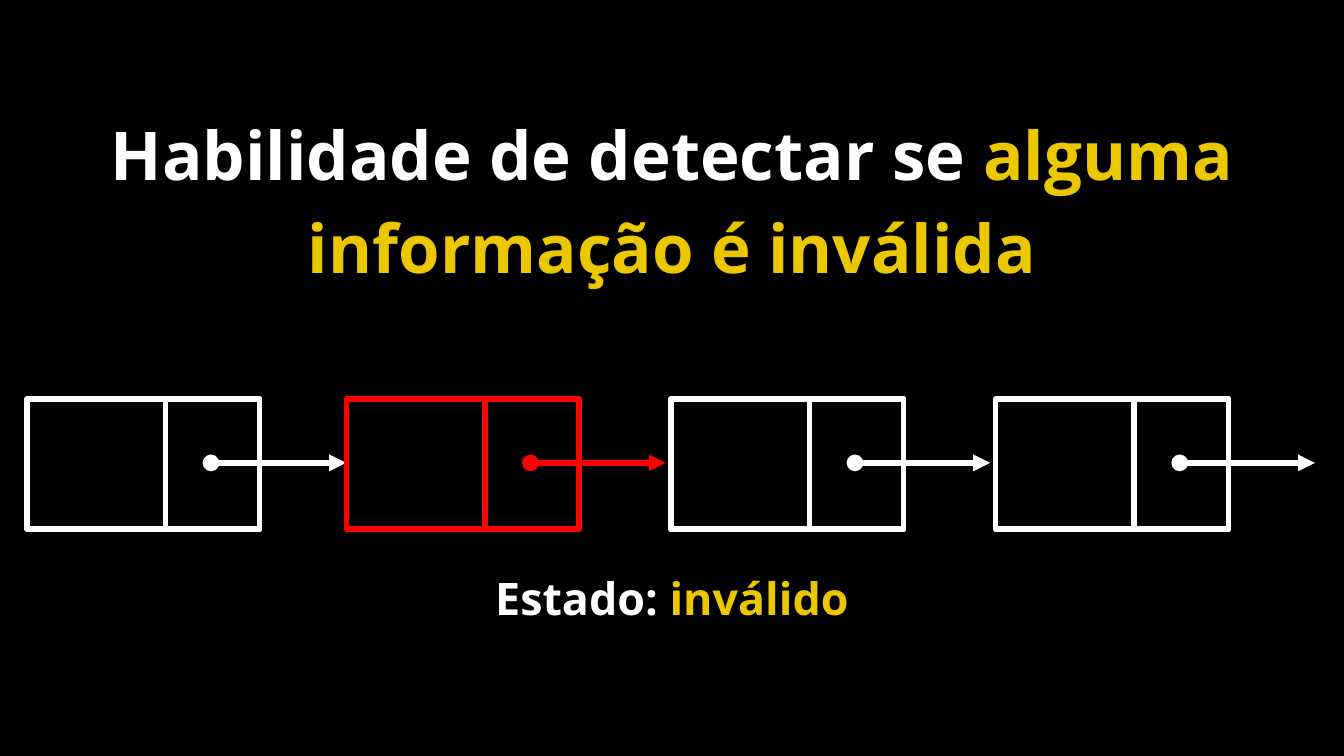
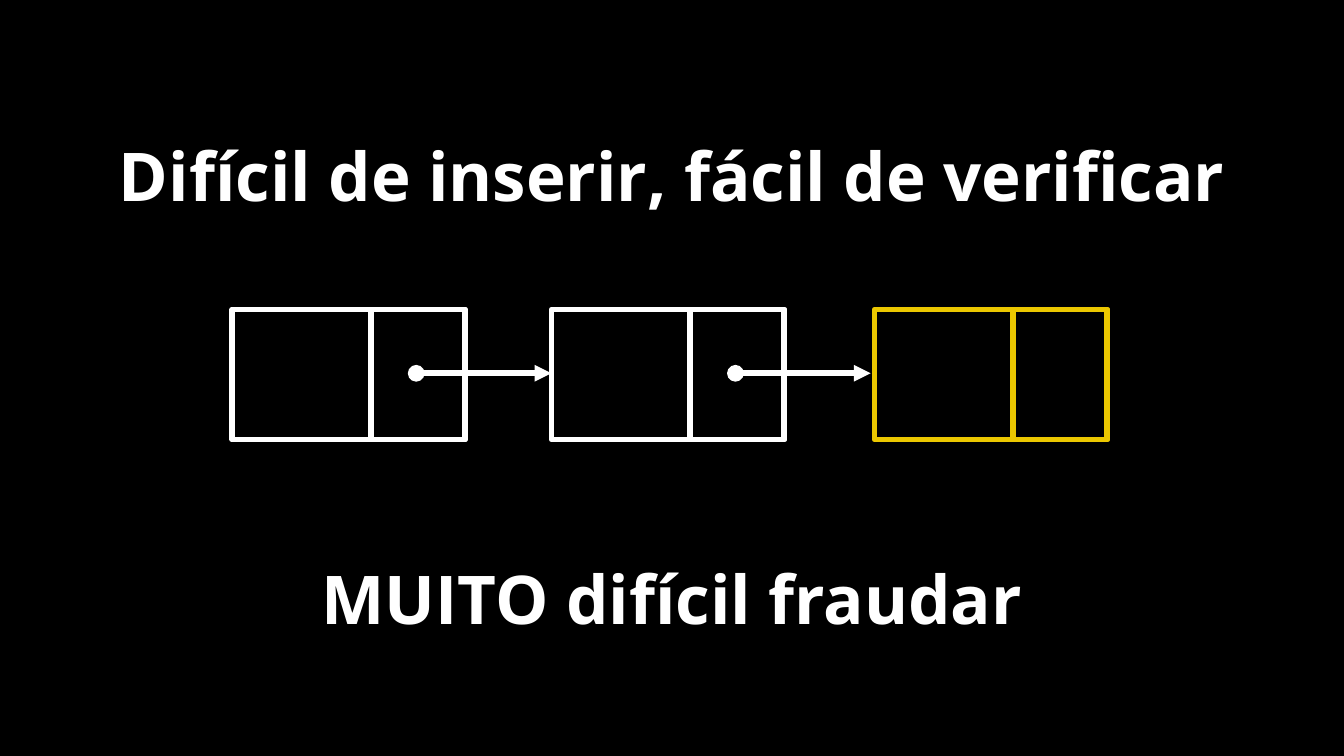
"""Build two slides about detecting invalid data in a linked chain of blocks."""
from dataclasses import dataclass

from lxml import etree
from pptx import Presentation
from pptx.dml.color import RGBColor
from pptx.enum.shapes import MSO_CONNECTOR, MSO_SHAPE
from pptx.enum.text import MSO_ANCHOR, MSO_AUTO_SIZE, PP_ALIGN
from pptx.oxml.ns import qn
from pptx.util import Pt

RECT, STRAIGHT = MSO_SHAPE.RECTANGLE, MSO_CONNECTOR.STRAIGHT
TOP, MIDDLE = MSO_ANCHOR.TOP, MSO_ANCHOR.MIDDLE
CENTER, NO_FIT = PP_ALIGN.CENTER, MSO_AUTO_SIZE.NONE

BLACK, WHITE, RED, YELLOW = "000000", "FFFFFF", "FF0000", "EBC700"
FONT = "Open Sans"
LINE_W = 3
TEXT_X, TEXT_W, INSET = 24.48, 671, 7.2
BLOCK_W, BLOCK_H, POINTER_W = 124.7, 69.8, 50.4
ARROW_X, ARROW_Y, ARROW_W = 98.6, 34.2, 72.4


@dataclass(frozen=True)
class Block:
    """One chain node, with or without an arrow to the next."""
    x: float
    color: str = WHITE
    linked: bool = True


@dataclass(frozen=True)
class Caption:
    """Place and type style of a centred text."""
    y: float
    h: float
    size: float = 36
    anchor: MSO_ANCHOR = MIDDLE
    line_spacing: float = 1.15
    space_after: float = 16


def rgb(color: str) -> RGBColor:
    """Turn a hex string into a colour."""
    return RGBColor.from_string(color)


def style_line(sp, color: str, **ends: str) -> None:
    """Set the outline colour, width, round joins and any line ends."""
    sp.line.color.rgb = rgb(color)
    sp.line.width = Pt(LINE_W)
    ln = sp.line._get_or_add_ln()
    etree.SubElement(ln, qn("a:round"))
    for tag, kind in ends.items():
        etree.SubElement(ln, qn(f"a:{tag}"), type=kind)


def add_cell(slide, x: float, y: float, w: float, color: str) -> None:
    """Draw one unfilled cell of a block."""
    sp = slide.shapes.add_shape(RECT, Pt(x), Pt(y), Pt(w), Pt(BLOCK_H))
    sp.shadow.inherit = False
    sp.fill.background()
    style_line(sp, color)


def add_arrow(slide, x: float, y: float, color: str) -> None:
    """Draw a horizontal pointer with a round start."""
    cxn = slide.shapes.add_connector(STRAIGHT, Pt(x), Pt(y), Pt(x + ARROW_W), Pt(y))
    style_line(cxn, color, headEnd="oval", tailEnd="triangle")
    etree.SubElement(cxn._element.spPr, qn("a:effectLst"))


def add_chain(slide, y: float, blocks: list[Block]) -> None:
    """Draw a row of blocks and their pointers."""
    for b in blocks:
        add_cell(slide, b.x, y, BLOCK_W, b.color)
        add_cell(slide, b.x + BLOCK_W - POINTER_W, y, POINTER_W, b.color)
        if b.linked:
            add_arrow(slide, b.x + ARROW_X, y + ARROW_Y, b.color)


def fill_caption(sp, cap: Caption, runs: list[tuple[str, str]]) -> None:
    """Move a placeholder and write its coloured runs."""
    sp.left, sp.top, sp.width, sp.height = Pt(TEXT_X), Pt(cap.y), Pt(TEXT_W), Pt(cap.h)
    tf = sp.text_frame
    tf.word_wrap, tf.auto_size, tf.vertical_anchor = True, NO_FIT, cap.anchor
    tf.margin_left = tf.margin_right = tf.margin_top = tf.margin_bottom = Pt(INSET)
    p = tf.paragraphs[0]
    p.alignment, p.line_spacing = CENTER, cap.line_spacing
    p.space_before, p.space_after = Pt(0), Pt(cap.space_after)
    pPr = p._p.get_or_add_pPr()
    pPr.set("marL", "0")
    pPr.set("indent", "0")
    etree.SubElement(pPr, qn("a:buNone"))
    for text, color in runs:
        r = p.add_run()
        r.text = text
        r.font.name, r.font.size, r.font.bold = FONT, Pt(cap.size), True
        r.font.color.rgb = rgb(color)


def build_invalid_state(prs) -> None:
    """Build the slide with one invalid block."""
    slide = prs.slides.add_slide(prs.slide_layouts[1])
    title, body = slide.placeholders
    fill_caption(body, Caption(14.4, 179.3),
                 [("Habilidade de detectar se ", WHITE),
                  ("alguma informação é inválida", YELLOW)])
    fill_caption(title, Caption(298.8, 45.4, 24, TOP, 1.0, 0),
                 [("Estado: ", WHITE), ("inválido", YELLOW)])
    add_chain(slide, 213.8, [Block(14.4), Block(185.6, RED), Block(359.4), Block(533.4)])


def build_hard_to_forge(prs) -> None:
    """Build the slide with a newly inserted block."""
    slide = prs.slides.add_slide(prs.slide_layouts[3])
    title, upper, lower = slide.placeholders
    title._element.getparent().remove(title._element)
    fill_caption(upper, Caption(23.8, 133.2),
                 [("Difícil de inserir, fácil de verificar", WHITE)])
    fill_caption(lower, Caption(250.6, 133.2), [("MUITO difícil fraudar", WHITE)])
    add_chain(slide, 165.8, [Block(124.4), Block(295.4), Block(468.5, YELLOW, False)])


def main() -> None:
    """Create and save the presentation."""
    prs = Presentation()
    prs.slide_width, prs.slide_height = Pt(720), Pt(405)
    fill = prs.slide_master.background.fill
    fill.solid()
    fill.fore_color.rgb = rgb(BLACK)
    build_invalid_state(prs)
    build_hard_to_forge(prs)
    prs.save("out.pptx")


main()
